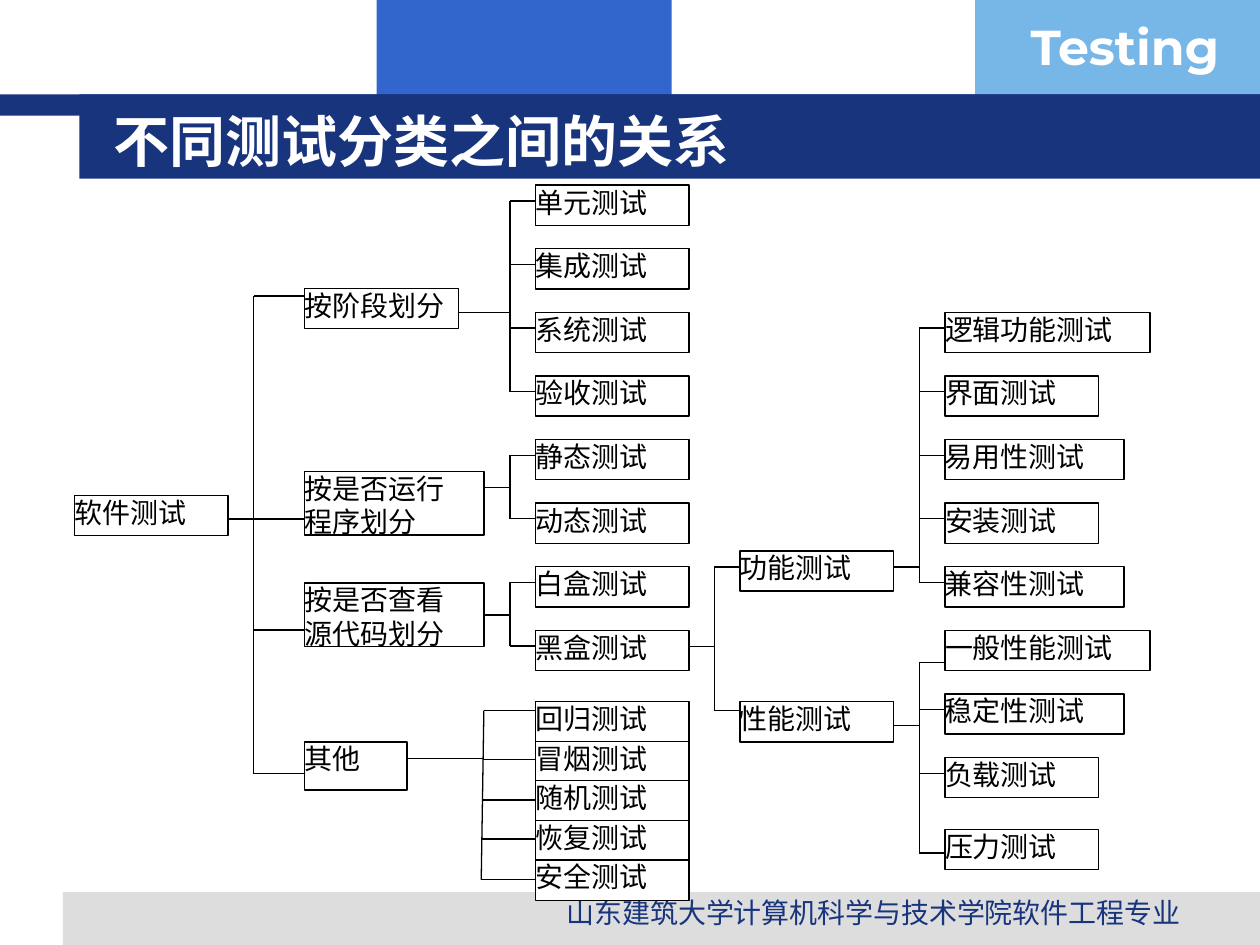
from lxml import etree
from pptx import Presentation
from pptx import util as u
from pptx.dml.color import RGBColor
from pptx.enum import shapes, text
from pptx.oxml.ns import qn

COLORS = {"navy": "17347D", "blue": "3366CC", "sky": "77B7E7",
          "grey": "DDDDDD", "white": "FFFFFF", "black": "000000"}

BANDS = [  # left, top, width, height, colour
    (215.3, 0, 168.5, 66.2, "blue"),
    (557.3, 0, 162.7, 66.2, "sky"),
    (36, 509.8, 684, 30.2, "grey"),
    (0, 54, 720, 12.2, "navy"),
    (45.4, 54, 674.6, 48.2, "navy"),
]

CAPTIONS = [  # words, place, alignment, anchor, font
    ("Testing", (581.8, 5.8, 139, 41), "LEFT", "TOP",
     {"name": "Montserrat", "size": u.Pt(28), "bold": True}, "white"),
    ("山东建筑大学计算机科学与技术学院软件工程专业", (292.3, 508.3, 414, 22.3), "CENTER", "TOP",
     {"name": "Arial", "size": u.Pt(16)}, "navy"),
    ("不同测试分类之间的关系", (57.6, 57.6, 642.2, 44.6), "LEFT", "MIDDLE",
     {"name": "DejaVu Sans", "size": u.Pt(32), "bold": True}, "white"),
]

NODE_FONT = {"name": "Times New Roman", "size": u.Pt(16)}
NODE_H = 23
ENTRY = 9  # a branch meets a node this far below its top
W4, W5, W6 = 87.8, 102.4, 117.2  # node widths for four to six characters
ROOT_X, GROUP_X, TEST_X, BLACK_BOX_X, DETAIL_X = 42.5, 174.2, 306, 422.8, 540


def row(index):
    """Top of a row on the grid shared by the test and detail columns."""
    return 105.8 + 36.34 * index


def extra_row(index):
    """Top of a row in the tight stack of other tests."""
    return 401 + 22.6 * index


TESTS = ["单元测试", "集成测试", "系统测试", "验收测试", "静态测试", "动态测试", "白盒测试", "黑盒测试"]
OTHER_TESTS = ["回归测试", "冒烟测试", "随机测试", "恢复测试", "安全测试"]
DETAILS = [("逻辑功能测试", W6), ("界面测试", W4), ("易用性测试", W5), ("安装测试", W4),
           ("兼容性测试", W5), ("一般性能测试", W6), ("稳定性测试", W5), ("负载测试", W4)]

NODES = [  # words, left, top, width, height
    ("软件测试", ROOT_X, 283, W4, NODE_H),
    ("按阶段划分", GROUP_X, 164.9, W4, NODE_H),
    ("按是否运行\n程序划分", GROUP_X, 269.3, W5, 36.5),
    ("按是否查看\n源代码划分", GROUP_X, 333.1, W5, 36.5),
    ("其他", GROUP_X, 424, 58.5, 27.4),
    *[(name, TEST_X, row(i), W4, NODE_H) for i, name in enumerate(TESTS)],
    *[(name, TEST_X, extra_row(i), W4, NODE_H) for i, name in enumerate(OTHER_TESTS)],
    ("功能测试", BLACK_BOX_X, 314.8, W4, NODE_H),
    ("性能测试", BLACK_BOX_X, 401, W4, NODE_H),
    *[(name, DETAIL_X, row(i), width, NODE_H) for i, (name, width) in enumerate(DETAILS, 2)],
    ("压力测试", DETAIL_X, 473.8, W4, NODE_H),
]


def entries(first, last):
    return [row(i) + ENTRY for i in range(first, last + 1)]


BRANCHES = [  # parent's right edge, its exit height, trunk top x, trunk bottom x, child x, child heights
    (ROOT_X + W4, 296.6, 144.9, 144.9, GROUP_X, [169.2, 296.6, 360, 442.1]),
    (GROUP_X + W4, 178.6, 291.5, 291.5, TEST_X, entries(0, 3)),
    (GROUP_X + W5, 278.6, 291.5, 291.5, TEST_X, entries(4, 5)),
    (GROUP_X + W5, 351.4, 291.5, 291.5, TEST_X, entries(6, 7)),
    (GROUP_X + 58.5, 433.4, 276.5, 275, TEST_X, [406.1, 434.2, 457.2, 479.5, 502.6]),
    (TEST_X + W4, 369.4, 408.2, 408.2, BLACK_BOX_X, [324, 406.1]),
    (BLACK_BOX_X + W4, 324, 525.4, 525.4, DETAIL_X, entries(2, 6)),
    (BLACK_BOX_X + W4, 414.7, 525.4, 525.4, DETAIL_X, [378.7, *entries(8, 9), 487.4]),
]


def rgb(name):
    return RGBColor.from_string(COLORS[name])


def box(slide, place, fill):
    shape = slide.shapes.add_shape(shapes.MSO_SHAPE.RECTANGLE, *map(u.Pt, place))
    shape.shadow.inherit = False
    shape.fill.solid()
    shape.fill.fore_color.rgb = rgb(fill)
    shape.line.fill.background()
    return shape


def write(frame, words, alignment, anchor, font, color):
    frame.word_wrap = True
    frame.vertical_anchor = text.MSO_ANCHOR[anchor]
    frame.text = words
    for paragraph in frame.paragraphs:
        paragraph.alignment = text.PP_ALIGN[alignment]
        for key, value in font.items():
            setattr(paragraph.font, key, value)
        paragraph.font.color.rgb = rgb(color)


def outline(line):
    line.color.rgb = rgb("black")
    line.width = u.Pt(0.75)


def node(slide, words, *place):
    shape = box(slide, place, "white")
    outline(shape.line)
    frame = shape.text_frame
    for side in ("left", "top", "right", "bottom"):
        setattr(frame, f"margin_{side}", 0)
    write(frame, words, "JUSTIFY", "TOP", NODE_FONT, "black")


def connect(slide, *ends):
    line = slide.shapes.add_connector(shapes.MSO_CONNECTOR.STRAIGHT, *map(u.Pt, ends))
    outline(line.line)
    etree.SubElement(line._element.spPr, qn("a:effectLst"))


def branch(slide, parent_x, exit_y, top_x, bottom_x, child_x, heights):
    top, bottom = heights[0], heights[-1]

    def trunk_x(y):
        return top_x + (bottom_x - top_x) * (y - top) / (bottom - top)

    connect(slide, top_x, top, bottom_x, bottom)
    connect(slide, parent_x, exit_y, trunk_x(exit_y), exit_y)
    for y in heights:
        connect(slide, trunk_x(y), y, child_x, y)


def main():
    deck = Presentation()
    deck.slide_width, deck.slide_height = u.Pt(720), u.Pt(540)
    slide = deck.slides.add_slide(deck.slide_layouts[6])
    for *place, fill in BANDS:
        box(slide, place, fill)
    for words, place, *style in CAPTIONS:
        write(slide.shapes.add_textbox(*map(u.Pt, place)).text_frame, words, *style)
    for item in NODES:
        node(slide, *item)
    for item in BRANCHES:
        branch(slide, *item)
    deck.save("out.pptx")


if __name__ == "__main__":
    main()
